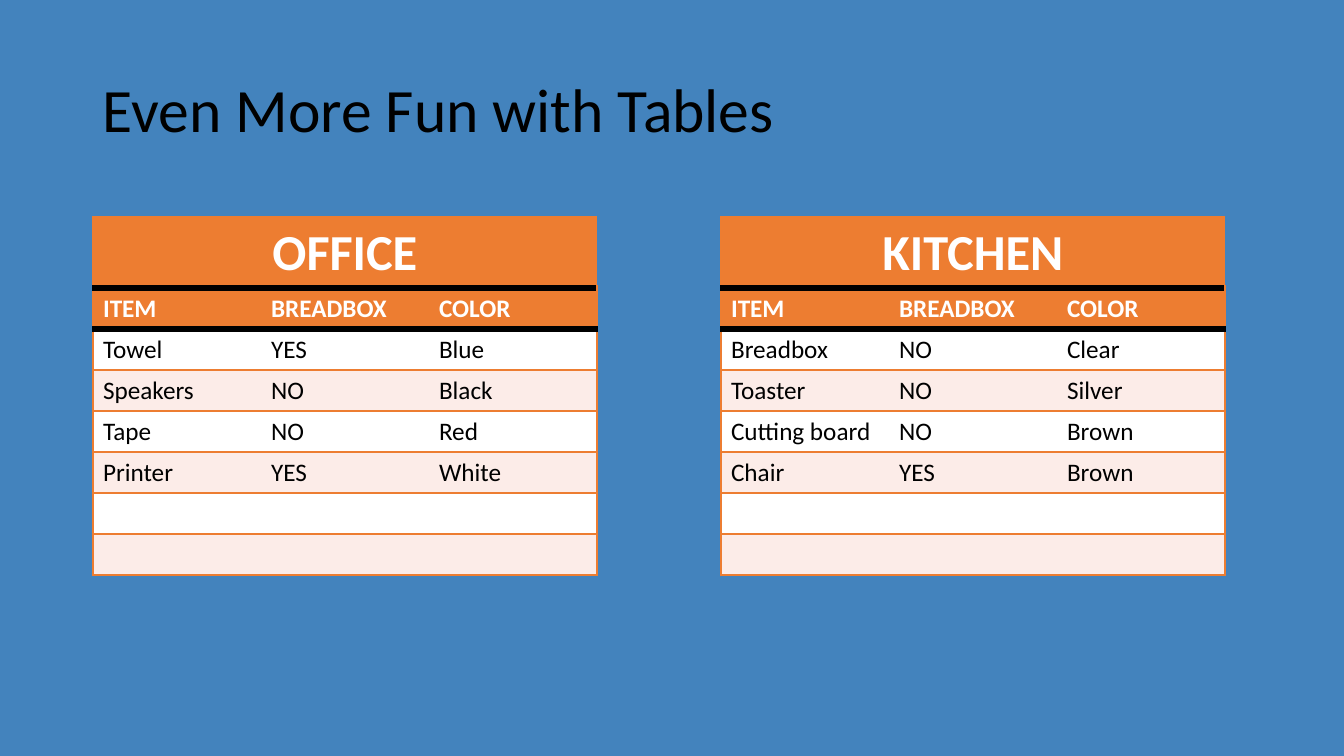
from dataclasses import dataclass

from lxml import etree
from pptx import Presentation
from pptx import util as u
from pptx.dml.color import RGBColor
from pptx.enum import text
from pptx.oxml import ns


@dataclass(frozen=True)
class Theme:
    font: str = "Calibri"
    backdrop: str = "4383BD"
    accent: str = "ED7D31"
    band: str = "FCECE8"
    light: str = "FFFFFF"
    dark: str = "000000"
    title_size: int = 44
    banner_size: int = 36
    body_size: int = 18
    thin: float = 1
    thick: float = 4.5


class Deck:
    """Build one themed slide with lengths given in px."""

    SCALE = 12192000 / 1344

    def __init__(self, theme):
        self.theme = theme
        self.prs = Presentation()
        self.prs.slide_width, self.prs.slide_height = self.px(1344), self.px(756)
        self.slide = self.prs.slides.add_slide(self.prs.slide_layouts[6])
        fill = self.slide.background.fill
        fill.solid()
        fill.fore_color.rgb = RGBColor.from_string(theme.backdrop)

    def px(self, length):
        return u.Emu(round(length * self.SCALE))

    def style(self, paragraph, size, color, bold=False):
        font = paragraph.font
        font.name, font.size, font.bold = self.theme.font, u.Pt(size), bold
        font.color.rgb = RGBColor.from_string(color)

    def title(self, wording, *box):
        frame = self.slide.shapes.add_textbox(*map(self.px, box)).text_frame
        frame.word_wrap = True
        frame.vertical_anchor = text.MSO_ANCHOR.MIDDLE
        heading = frame.paragraphs[0]
        heading.text = wording
        heading.line_spacing = 0.9
        self.style(heading, self.theme.title_size, self.theme.dark)

    def border(self, cell, side, color, width):
        edge = etree.SubElement(cell._tc.get_or_add_tcPr(), ns.qn(f"a:ln{side}"))
        if color is None:
            etree.SubElement(edge, ns.qn("a:noFill"))
            return
        edge.set("w", str(u.Pt(width)))
        solid = etree.SubElement(edge, ns.qn("a:solidFill"))
        etree.SubElement(solid, ns.qn("a:srgbClr")).set("val", color)

    def rule(self, cell, side, line):
        if line in (1, 2):
            self.border(cell, side, self.theme.dark, self.theme.thick)
        else:
            self.border(cell, side, self.theme.accent, self.theme.thin)

    def inventory(self, left, top, room, items):
        theme = self.theme
        columns = ("ITEM", "BREADBOX", "COLOR")
        blank = ("",) * len(columns)
        rows = [(room, "", ""), columns, *items, blank, blank]
        box = (left, top, 168 * len(columns), 71 + 41 * (len(rows) - 1))
        grid = self.slide.shapes.add_table(
            len(rows), len(columns), *map(self.px, box)).table
        grid.first_row = grid.horz_banding = False
        for column in grid.columns:
            column.width = self.px(168)
        grid.cell(0, 0).merge(grid.cell(0, len(columns) - 1))
        for r, entries in enumerate(rows):
            grid.rows[r].height = self.px(41 if r else 71)
            heading = r < 2
            fill = theme.accent if heading else (theme.light, theme.band)[r % 2]
            for c, entry in enumerate(entries):
                cell = grid.cell(r, c)
                self.border(cell, "L", None if c else theme.accent, theme.thin)
                last = c == len(columns) - 1
                self.border(cell, "R", theme.accent if last else None, theme.thin)
                self.rule(cell, "T", r)
                self.rule(cell, "B", r + 1)
                cell.fill.solid()
                cell.fill.fore_color.rgb = RGBColor.from_string(fill)
                label = cell.text_frame.paragraphs[0]
                label.text = entry
                self.style(label, theme.body_size if r else theme.banner_size,
                           theme.light if heading else theme.dark, heading)
                if r == 0:
                    label.alignment = text.PP_ALIGN.CENTER


def main():
    deck = Deck(Theme())
    deck.title("Even More Fun with Tables", 93, 40, 1159, 146)
    deck.inventory(721, 217, "KITCHEN", [
        ("Breadbox", "NO", "Clear"),
        ("Toaster", "NO", "Silver"),
        ("Cutting board", "NO", "Brown"),
        ("Chair", "YES", "Brown"),
    ])
    deck.inventory(93, 217, "OFFICE", [
        ("Towel", "YES", "Blue"),
        ("Speakers", "NO", "Black"),
        ("Tape", "NO", "Red"),
        ("Printer", "YES", "White"),
    ])
    deck.prs.save("out.pptx")


if __name__ == "__main__":
    main()
